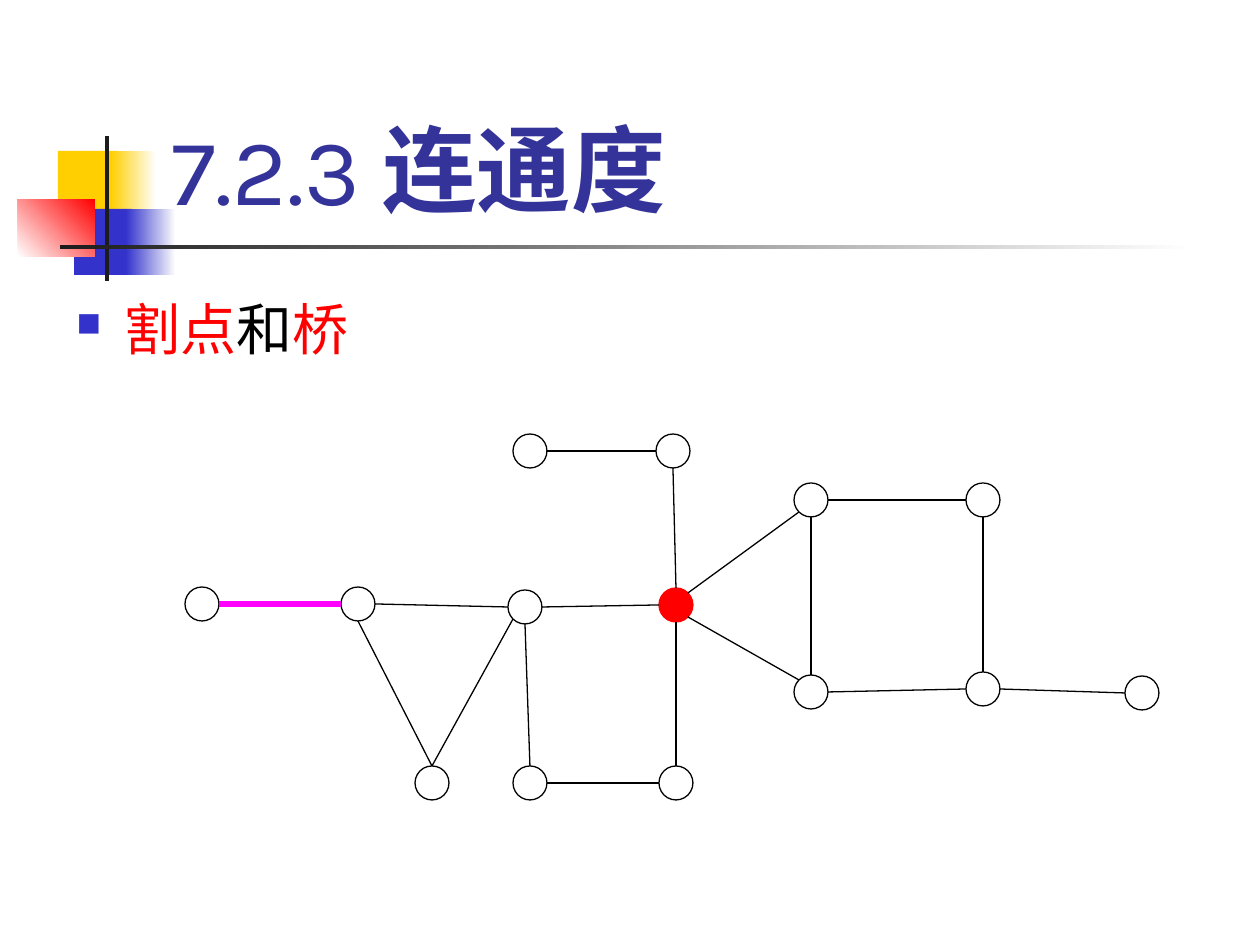
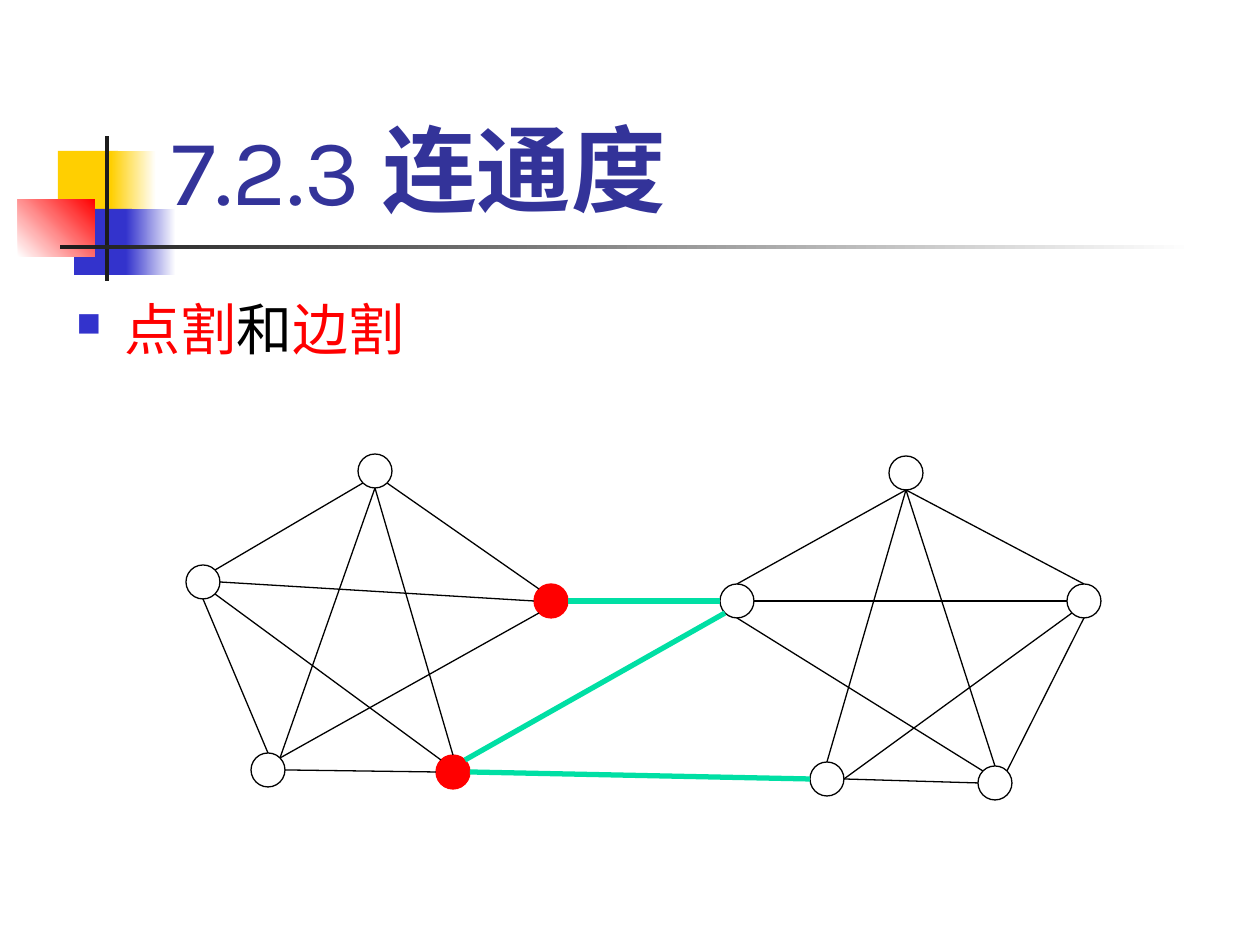
"""Builds two slides on graph connectivity: cut vertices and bridges, vertex cuts and edge cuts."""
from dataclasses import dataclass

from lxml.etree import SubElement
from pptx import Presentation
from pptx.dml.color import RGBColor
from pptx.enum.shapes import MSO_CONNECTOR, MSO_SHAPE
from pptx.enum.text import MSO_ANCHOR
from pptx.oxml.ns import qn
from pptx.util import Pt


@dataclass(frozen=True)
class Theme:
    font: str = "Karla"
    title: str = "333399"
    key: str = "FF0000"
    ink: str = "000000"
    paper: str = "FFFFFF"
    yellow: str = "FFCF01"
    blue: str = "3333CC"
    bar: str = "1C1C1C"
    bridge: str = "FF00FF"
    cut: str = "00DFA4"
    title_pt: int = 54
    body_pt: int = 32
    thin_pt: float = 0.75
    thick_pt: float = 3


T = Theme()
PX = 914400 // 126
RADIUS = 17
DIAGONAL = 12
SITES = {
    "N": (0, -RADIUS), "S": (0, RADIUS), "W": (-RADIUS, 0), "E": (RADIUS, 0),
    "NW": (-DIAGONAL, -DIAGONAL), "NE": (DIAGONAL, -DIAGONAL),
    "SW": (-DIAGONAL, DIAGONAL), "SE": (DIAGONAL, DIAGONAL),
}

TITLE = [("7.2.3 ", T.title, False), ("连通度", T.title, True)]
TITLE_BOX = (159, 29, 1073, 202)
BODY_BOX = (64, 255, 1196, 690)
DECOR = [
    ((58, 151, 60, 66), [T.yellow], 0),
    ((111, 151, 45, 66), [T.yellow, T.paper], 0),
    ((74, 209, 58, 66), [T.blue], 0),
    ((126, 209, 50, 66), [T.blue, T.paper], 0),
    ((18, 199, 77, 58), [T.paper, T.key], 45),
    ((105, 136, 4, 145), [T.bar], 0),
    ((60, 245, 1134, 4), [T.bar, T.paper], 0),
]

SLIDES = [
    {
        "body": [("割点", T.key, False), ("和", T.ink, False), ("桥", T.key, False)],
        "nodes": {
            "top_l": (530, 451), "top_r": (673, 451),
            "leaf_l": (202, 604), "fork": (358, 604), "mid": (525, 607), "hub": (676, 605),
            "tri": (432, 783), "low_l": (530, 783), "low_r": (676, 783),
            "sq_tl": (811, 500), "sq_tr": (983, 500),
            "sq_bl": (811, 692), "sq_br": (983, 689), "leaf_r": (1142, 693),
        },
        "red": {"hub"},
        "edges": [
            "top_l E top_r W", "top_r S hub N", "hub S low_r N", "hub W mid E",
            "mid S low_l N", "low_l E low_r W", "mid SW tri N", "fork S tri N",
            "fork E mid W", "hub NE sq_tl SW", "hub SE sq_bl NW", "sq_tl E sq_tr W",
            "sq_bl E sq_br W", "sq_tl S sq_bl N", "sq_tr S sq_br N", "sq_br E leaf_r W",
        ],
        "marked": ["fork W leaf_l E"],
        "mark": T.bridge,
    },
    {
        "body": [("点割", T.key, False), ("和", T.ink, False), ("边割", T.key, False)],
        "nodes": {
            "l_top": (375, 471), "l_west": (203, 582), "l_east": (551, 601),
            "l_sw": (268, 770), "l_se": (453, 772),
            "r_top": (906, 473), "r_west": (737, 601), "r_east": (1084, 601),
            "r_sw": (827, 779), "r_se": (995, 783),
        },
        "red": {"l_east", "l_se"},
        "edges": [
            "l_top SW l_west NE", "l_top SE l_east NW", "l_west S l_sw N",
            "l_sw E l_se W", "l_top S l_sw NE", "l_top S l_se N",
            "l_west E l_east W", "l_east SW l_sw NE", "l_west SE l_se NW",
            "r_sw E r_se W", "r_top S r_sw N", "r_top S r_se N",
            "r_west E r_east W", "r_top S r_west N", "r_top S r_east N",
            "r_east S r_se NE", "r_east SW r_sw E", "r_west S r_se NW",
        ],
        "marked": ["l_east E r_west W", "l_se E r_sw W", "r_west SW l_se NE"],
        "mark": T.cut,
    },
]


def rgb(color):
    return RGBColor.from_string(color)


def emu(*lengths):
    return [v * PX for v in lengths]


def add_block(s, kind, box, colors, angle=0, line=None):
    sp = s.shapes.add_shape(kind, *emu(*box))
    sp.shadow.inherit = False
    if len(colors) == 1:
        sp.fill.solid()
        sp.fill.fore_color.rgb = rgb(colors[0])
    else:
        sp.fill.gradient()
        sp.fill.gradient_angle = angle
        for stop, color in zip(sp.fill.gradient_stops, colors):
            stop.color.rgb = rgb(color)
    if line:
        sp.line.color.rgb = rgb(line)
        sp.line.width = Pt(T.thin_pt)
    else:
        sp.line.fill.background()


def add_text(s, box, runs, size, anchor):
    tf = s.shapes.add_textbox(*emu(*box)).text_frame
    tf.word_wrap = True
    tf.vertical_anchor = anchor
    p = tf.paragraphs[0]
    for text, color, bold in runs:
        r = p.add_run()
        r.text = text
        r.font.name = T.font
        r.font.size = Pt(size)
        r.font.bold = bold
        r.font.color.rgb = rgb(color)
    return p


def add_bullet(p):
    pPr = p._p.get_or_add_pPr()
    pPr.set("marL", str(48 * PX))
    pPr.set("indent", str(-48 * PX))
    SubElement(SubElement(pPr, qn("a:buClr")), qn("a:srgbClr"), val=T.blue)
    SubElement(pPr, qn("a:buSzPct"), val="60000")
    SubElement(pPr, qn("a:buChar"), char="■")
    p.line_spacing = 1.5


def add_edge(s, nodes, edge, color, width):
    start, start_site, end, end_site = edge.split()
    points = [n + d for name, site in ((start, start_site), (end, end_site))
              for n, d in zip(nodes[name], SITES[site])]
    cx = s.shapes.add_connector(MSO_CONNECTOR.STRAIGHT, *emu(*points))
    cx.line.color.rgb = rgb(color)
    cx.line.width = Pt(width)
    SubElement(cx._element.spPr, qn("a:effectLst"))


def add_graph(s, graph):
    nodes = graph["nodes"]
    for name, (x, y) in nodes.items():
        fill, line = (T.key, T.key) if name in graph["red"] else (T.paper, T.ink)
        box = (x - RADIUS, y - RADIUS, 2 * RADIUS, 2 * RADIUS)
        add_block(s, MSO_SHAPE.OVAL, box, [fill], line=line)
    for edge in graph["edges"]:
        add_edge(s, nodes, edge, T.ink, T.thin_pt)
    for edge in graph["marked"]:
        add_edge(s, nodes, edge, graph["mark"], T.thick_pt)


def main():
    prs = Presentation()
    prs.slide_width, prs.slide_height = emu(1260, 945)
    for content in SLIDES:
        s = prs.slides.add_slide(prs.slide_layouts[6])
        for box, colors, angle in DECOR:
            add_block(s, MSO_SHAPE.RECTANGLE, box, colors, angle)
        add_text(s, TITLE_BOX, TITLE, T.title_pt, MSO_ANCHOR.BOTTOM)
        add_bullet(add_text(s, BODY_BOX, content["body"], T.body_pt, MSO_ANCHOR.TOP))
        add_graph(s, content)
    prs.save("out.pptx")


if __name__ == "__main__":
    main()
